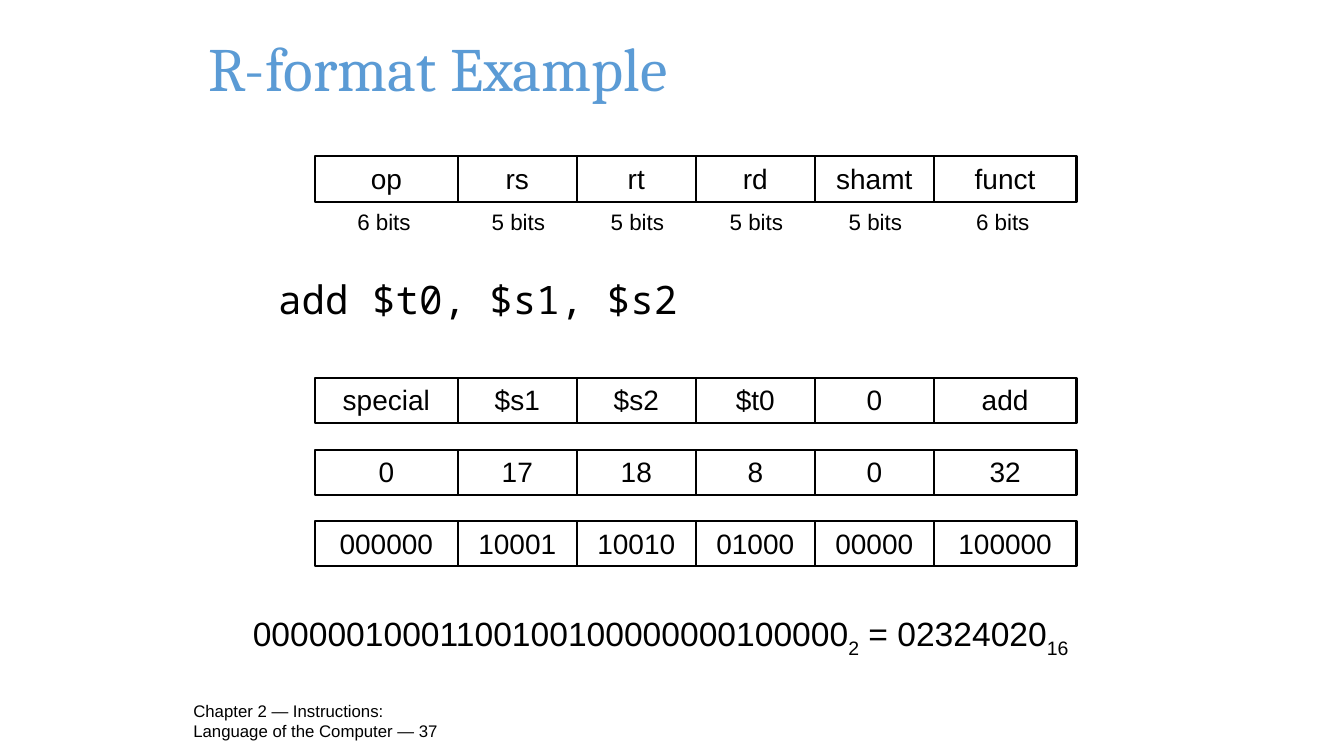
from pptx import Presentation
from pptx.dml.color import RGBColor
from pptx.enum.shapes import MSO_SHAPE
from pptx.enum.text import MSO_ANCHOR, PP_ALIGN
from pptx.util import Pt

RECTANGLE = MSO_SHAPE.RECTANGLE
TOP, MIDDLE = MSO_ANCHOR.TOP, MSO_ANCHOR.MIDDLE
LEFT, CENTER = PP_ALIGN.LEFT, PP_ALIGN.CENTER
BLACK = RGBColor(0x00, 0x00, 0x00)
BLUE = RGBColor(0x5B, 0x9B, 0xD5)

FIELDS_LEFT = 225
FIELD_HEIGHT = 32.4
FIELD_BITS = [6, 5, 5, 5, 5, 6]
FIELD_WIDTHS = {6: 102, 5: 85}
LABEL_OFFSETS = {6: 23, 5: 17}

FIELD_NAMES = ["op", "rs", "rt", "rd", "shamt", "funct"]
ENCODINGS = [
    ["special", "$s1", "$s2", "$t0", "0", "add"],
    ["0", "17", "18", "8", "0", "32"],
    ["000000", "10001", "10010", "01000", "00000", "100000"],
]
ENCODINGS_TOP = 270
ENCODINGS_PITCH = 51.1


def write_text(shape, text, size, font="Arial", color=BLACK, align=LEFT,
               anchor=TOP, wrap=True, line_spacing=None, subscripts=()):
    """Fill a shape with text, a string or a list of runs; subscripts holds run indices."""
    frame = shape.text_frame
    frame.word_wrap = wrap
    frame.vertical_anchor = anchor
    paragraph = frame.paragraphs[0]
    paragraph.alignment = align
    paragraph.line_spacing = line_spacing
    for index, part in enumerate([text] if isinstance(text, str) else text):
        run = paragraph.add_run()
        run.text = part
        run.font.size = Pt(size)
        run.font.name = font
        run.font.color.rgb = color
        if index in subscripts:
            run.font._element.set("baseline", "-25000")


def add_text(shapes, left, top, width, height, text, size, **text_format):
    box = shapes.add_textbox(Pt(left), Pt(top), Pt(width), Pt(height))
    write_text(box, text, size, **text_format)
    return box


def add_field(shapes, left, top, width, text):
    field = shapes.add_shape(RECTANGLE, Pt(left), Pt(top), Pt(width), Pt(FIELD_HEIGHT))
    field.shadow.inherit = False
    field.fill.background()
    field.line.color.rgb = BLACK
    field.line.width = Pt(1.5)
    write_text(field, text, 20, align=CENTER)


def field_lefts():
    return [FIELDS_LEFT + sum(FIELD_WIDTHS[bits] for bits in FIELD_BITS[:index])
            for index in range(len(FIELD_BITS))]


def add_instruction_row(shapes, top, values):
    for left, bits, value in zip(field_lefts(), FIELD_BITS, values):
        add_field(shapes, left, top, FIELD_WIDTHS[bits], value)


def add_bit_labels(shapes, top):
    for left, bits in zip(field_lefts(), FIELD_BITS):
        add_text(shapes, left + LABEL_OFFSETS[bits], top, 52.6, 26.6,
                 f"{bits} bits", 16, align=CENTER, wrap=False)


def main():
    presentation = Presentation()
    presentation.slide_width = Pt(960)
    presentation.slide_height = Pt(540)
    slide = presentation.slides.add_slide(presentation.slide_layouts[6])
    shapes = slide.shapes

    add_text(shapes, 131, 500.4, 201, 28.8,
             "Chapter 2 — Instructions: Language of the Computer — 37", 12, anchor=MIDDLE)
    add_text(shapes, 142, -4.3, 711, 104.4, "R-format Example", 44,
             font="Cambria", color=BLUE, anchor=MIDDLE)
    instruction = add_text(shapes, 173.5, 196.6, 651.6, 51, "add $t0, $s1, $s2", 28,
                           font="Noto Sans Mono", line_spacing=0.9)
    instruction.text_frame.margin_left = Pt(25.2)

    for row, values in enumerate(ENCODINGS):
        add_instruction_row(shapes, ENCODINGS_TOP + row * ENCODINGS_PITCH, values)

    add_text(shapes, 173.5, 434.5, 641, 39.6,
             ["00000010001100100100000000100000", "2", " = 02324020", "16"], 24,
             subscripts=(1, 3))

    format_group = shapes.add_group_shape()
    add_instruction_row(format_group.shapes, 111.6, FIELD_NAMES)
    add_bit_labels(format_group.shapes, 145.4)

    presentation.save("out.pptx")


if __name__ == "__main__":
    main()
